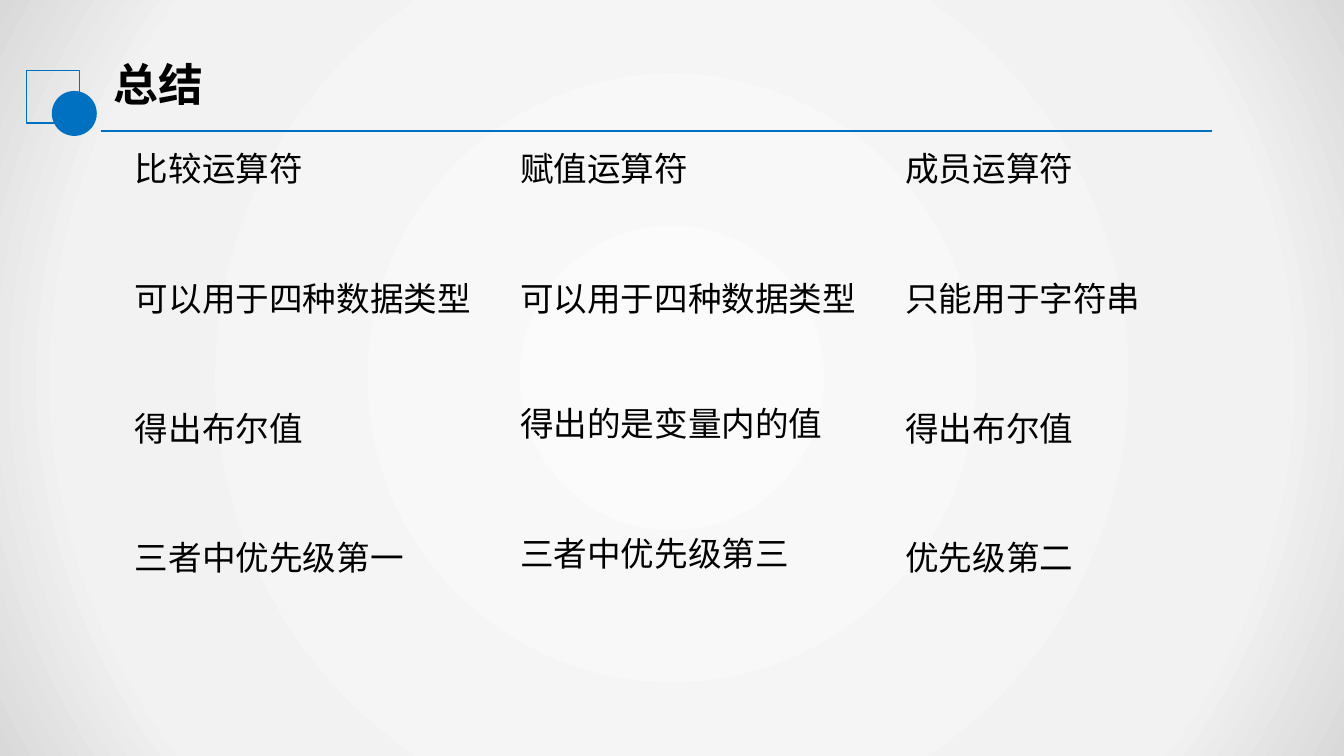
"""Build a summary slide comparing three kinds of operators."""
from lxml import etree
from pptx import Presentation
from pptx.dml.color import RGBColor
from pptx.enum.shapes import MSO_CONNECTOR, MSO_SHAPE
from pptx.enum.text import MSO_ANCHOR, MSO_AUTO_SIZE, PP_ALIGN
from pptx.oxml import parse_xml
from pptx.oxml.ns import nsdecls, qn
from pptx.util import Cm, Pt

BLUE = RGBColor(0x00, 0x70, 0xC0)
BLACK = RGBColor(0x00, 0x00, 0x00)
GLOW = {
    0: RGBColor(0xFB, 0xFB, 0xFB),
    79: RGBColor(0xF2, 0xF2, 0xF2),
    100: RGBColor(0xD9, 0xD9, 0xD9),
}
TITLE_FONT = "Noto Sans CJK SC"
TITLE_FORMAT = {"name": TITLE_FONT, "size": Pt(24), "bold": True}
ENTRY_FORMAT = {"name": "Arial", "size": Pt(18), "bold": False}

OPERATORS = [
    ["比较运算符", "可以用于四种数据类型", "得出布尔值", "三者中优先级第一"],
    ["赋值运算符", "可以用于四种数据类型", "得出的是变量内的值", "三者中优先级第三"],
    ["成员运算符", "只能用于字符串", "得出布尔值", "优先级第二"],
]
LOWER_ROW_SHIFTS = [0, -0.08, 0]


def format_run(run, settings):
    for attribute, value in settings.items():
        setattr(run.font, attribute, value)
    run.font.color.rgb = BLACK


def add_plain_shape(kind, left, top, width, height):
    shape = slide.shapes.add_shape(kind, Cm(left), Cm(top), Cm(width), Cm(height))
    shape.shadow.inherit = False
    shape.fill.background()
    shape.line.fill.background()
    return shape


presentation = Presentation()
presentation.slide_width = Cm(25.4)
presentation.slide_height = Cm(14.29)
slide = presentation.slides.add_slide(presentation.slide_layouts[5])

heading = slide.shapes.title
heading.left, heading.top = Cm(1.9), Cm(0.94)
heading.width, heading.height = Cm(11.6), Cm(1.27)
heading.text_frame.vertical_anchor = MSO_ANCHOR.MIDDLE
heading.text_frame.auto_size = MSO_AUTO_SIZE.NONE
heading_line = heading.text_frame.paragraphs[0]
heading_line.alignment = PP_ALIGN.LEFT
heading_run = heading_line.add_run()
heading_run.text = "总结"
format_run(heading_run, TITLE_FORMAT)
east_asian = etree.Element(qn("a:ea"), typeface=TITLE_FONT)
heading_run.font._element.find(qn("a:latin")).addnext(east_asian)

backdrop = add_plain_shape(MSO_SHAPE.RECTANGLE, 0, 0, 25.4, 14.29)
stops = "".join(
    f'<a:gs pos="{position * 1000}"><a:srgbClr val="{color}"/></a:gs>'
    for position, color in GLOW.items()
)
radial_fill = parse_xml(
    f'<a:gradFill {nsdecls("a")} rotWithShape="1"><a:gsLst>{stops}</a:gsLst>'
    '<a:path path="circle"><a:fillToRect l="50000" t="50000" r="50000" b="50000"/>'
    "</a:path></a:gradFill>"
)
backdrop_properties = backdrop._element.spPr
backdrop_properties.replace(backdrop_properties.find(qn("a:noFill")), radial_fill)
heading._element.addprevious(backdrop._element)

square = add_plain_shape(MSO_SHAPE.RECTANGLE, 0.5, 1.33, 1, 1)
square.line.color.rgb = BLUE
square.line.width = Pt(0.75)

rule = slide.shapes.add_connector(
    MSO_CONNECTOR.STRAIGHT, Cm(1.9), Cm(2.47), Cm(22.9), Cm(2.47)
)
rule.line.color.rgb = BLUE
rule.line.width = Pt(1.25)
etree.SubElement(rule._element.spPr, qn("a:effectLst"))

dot = add_plain_shape(MSO_SHAPE.OVAL, 0.98, 1.72, 0.85, 0.85)
dot.fill.solid()
dot.fill.fore_color.rgb = BLUE

for column, (entries, shift) in enumerate(zip(OPERATORS, LOWER_ROW_SHIFTS)):
    for row, wording in enumerate(entries):
        top = 2.68 + 2.45 * row + (shift if row >= 2 else 0)
        entry = slide.shapes.add_textbox(
            Cm(2.3 + 7.28 * column), Cm(top), Cm(0.51 + 0.635 * len(wording)), Cm(1.02)
        )
        entry.text_frame.word_wrap = False
        entry.text_frame.auto_size = MSO_AUTO_SIZE.SHAPE_TO_FIT_TEXT
        entry_run = entry.text_frame.paragraphs[0].add_run()
        entry_run.text = wording
        format_run(entry_run, ENTRY_FORMAT)

presentation.save("out.pptx")
